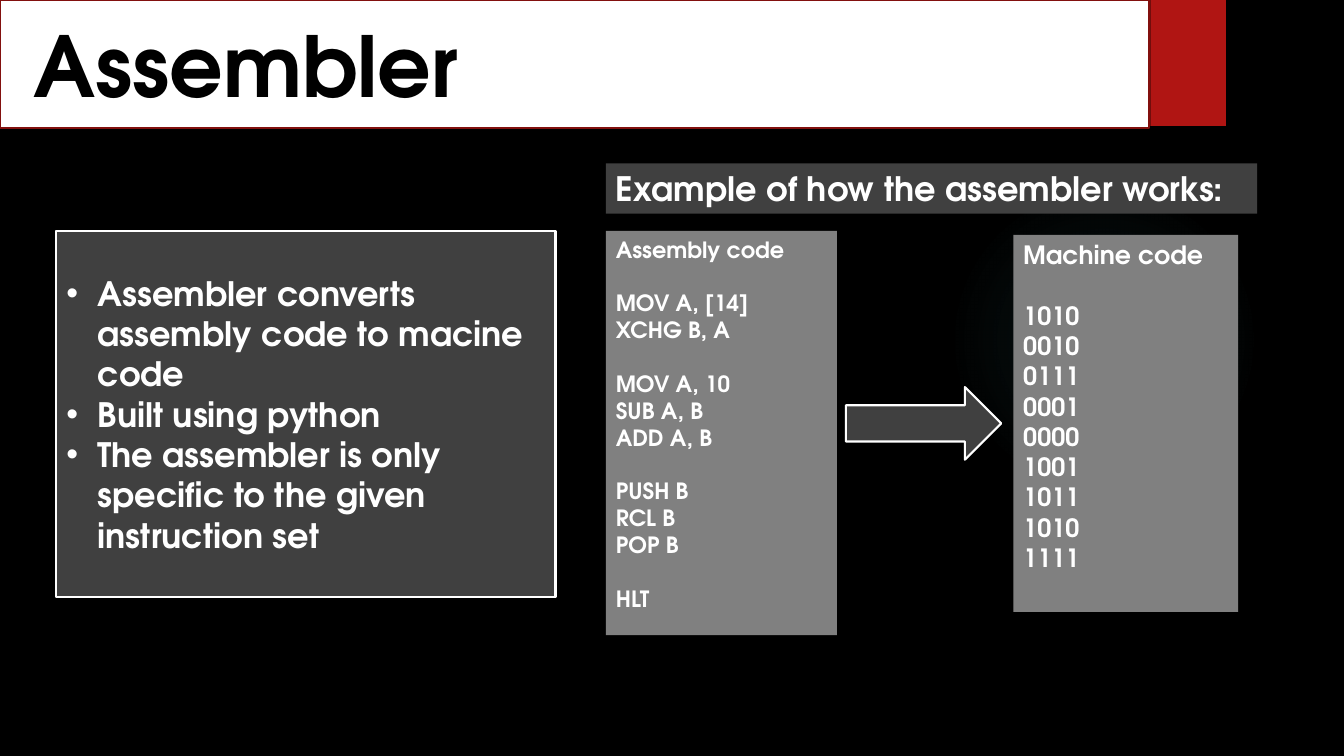
from dataclasses import dataclass

from lxml import etree
from pptx import Presentation
from pptx import util as u
from pptx.dml.color import RGBColor
from pptx.enum import shapes, text
from pptx.oxml import ns


@dataclass(frozen=True)
class Theme:
    """Colours, font and type sizes of the slide."""
    font: str = "TeX Gyre Adventor"
    black: str = "000000"
    white: str = "FFFFFF"
    red: str = "B01513"
    dark_red: str = "82100E"
    panel: str = "404040"
    code: str = "808080"
    glow: str = "50B9C1"
    title_size: int = 60
    body_size: int = 24
    assembly_size: int = 16
    machine_size: int = 18
    outline: float = 1.5
    line_height: float = 1.2


THEME = Theme()

TITLE = "Assembler"
POINTS = [
    "Assembler converts assembly code to macine code",
    "Built using python",
    "The assembler is only specific to the given instruction set",
]
EXAMPLE_HEADING = "Example of how the assembler works:"
# Each inner list is a group; groups are set one line apart.
ASSEMBLY = [
    ["Assembly code"],
    ["MOV A, [14]", "XCHG B, A"],
    ["MOV A, 10", "SUB A, B", "ADD A, B"],
    ["PUSH B", "RCL B", "POP B"],
    ["HLT"],
]
MACHINE = [
    ["Machine code"],
    ["1010", "0010", "0111", "0001", "0000", "1001", "1011", "1010", "1111"],
]
GLOW_STOPS = [(0, 7), (36, 6), (69, 0)]  # position and opacity, percent

EXAMPLE_LEFT = 6.01
PANEL_TOP = 2.29


def add_box(page, place, fill, line=None, kind=shapes.MSO_SHAPE.RECTANGLE):
    """Add a flat preset shape at (left, top, width, height) inches."""
    box = page.shapes.add_shape(kind, *map(u.Inches, place))
    box.shadow.inherit = False
    box.fill.solid()
    box.fill.fore_color.rgb = RGBColor.from_string(fill)
    if line:
        box.line.color.rgb = RGBColor.from_string(line)
        box.line.width = u.Pt(THEME.outline)
    else:
        box.line.fill.background()
    return box


def write(box, groups, size, color=THEME.white, anchor=text.MSO_ANCHOR.TOP):
    """Write groups of lines, leaving one line of space between groups."""
    frame = box.text_frame
    frame.word_wrap = True
    frame.vertical_anchor = anchor
    frame.text = "\n".join(line for group in groups for line in group)
    paras = iter(frame.paragraphs)
    for group_index, group in enumerate(groups):
        for line_index in range(len(group)):
            para = next(paras)
            para.alignment = text.PP_ALIGN.LEFT
            if group_index and not line_index:
                para.space_before = u.Pt(size * THEME.line_height)
            for span in para.runs:
                span.font.name = THEME.font
                span.font.size = u.Pt(size)
                span.font.bold = True
                span.font.color.rgb = RGBColor.from_string(color)


def add_bullets(box, indent=0.31):
    """Give every paragraph a round bullet with a hanging indent."""
    for para in box.text_frame.paragraphs:
        props = para._p.get_or_add_pPr()
        props.set("marL", str(u.Inches(indent)))
        props.set("indent", str(-u.Inches(indent)))
        etree.SubElement(props, ns.qn("a:buFont")).set("typeface", "Arial")
        etree.SubElement(props, ns.qn("a:buChar")).set("char", "•")


def add_glow(page, place):
    """Add a circle that fades out from its centre."""
    circle = add_box(page, place, THEME.glow, kind=shapes.MSO_SHAPE.OVAL)
    solid = circle._element.spPr.find(ns.qn("a:solidFill"))
    gradient = etree.Element(ns.qn("a:gradFill"))
    stops = etree.SubElement(gradient, ns.qn("a:gsLst"))
    for position, opacity in GLOW_STOPS:
        stop = etree.SubElement(stops, ns.qn("a:gs"), pos=str(position * 1000))
        color = etree.SubElement(stop, ns.qn("a:srgbClr"), val=THEME.glow)
        etree.SubElement(color, ns.qn("a:alpha"), val=str(opacity * 1000))
    shade = etree.SubElement(gradient, ns.qn("a:path"), {"path": "circle"})
    centre = dict.fromkeys("ltrb", "50000")
    etree.SubElement(shade, ns.qn("a:fillToRect"), centre)
    solid.getparent().replace(solid, gradient)


def build():
    """Build the slide and save the deck."""
    deck = Presentation()
    deck.slide_width, deck.slide_height = u.Inches(13.33), u.Inches(7.5)
    page = deck.slides.add_slide(deck.slide_layouts[6])
    page.background.fill.solid()
    page.background.fill.fore_color.rgb = RGBColor.from_string(THEME.black)
    middle = text.MSO_ANCHOR.MIDDLE

    add_glow(page, (9.41, 1.83, 3.08, 3.08))
    add_box(page, (11.41, 0, 0.75, 1.25), THEME.red)

    banner = add_box(page, (0, 0, 11.4, 1.27), THEME.white, THEME.dark_red)
    write(banner, [[TITLE]], THEME.title_size, THEME.black, middle)
    banner.text_frame.margin_left = u.Inches(0.33)

    summary = add_box(page, (0.56, PANEL_TOP, 4.95, 3.63), THEME.panel, THEME.white)
    write(summary, [POINTS], THEME.body_size, anchor=middle)
    add_bullets(summary)

    heading = add_box(page, (EXAMPLE_LEFT, 1.62, 6.46, 0.5), THEME.panel)
    write(heading, [[EXAMPLE_HEADING]], THEME.body_size)

    listings = [
        ((EXAMPLE_LEFT, PANEL_TOP, 2.29, 4.01), ASSEMBLY, THEME.assembly_size),
        ((10.05, 2.33, 2.23, 3.74), MACHINE, THEME.machine_size),
    ]
    for place, groups, size in listings:
        write(add_box(page, place, THEME.code), groups, size)

    add_box(page, (8.39, 3.84, 1.54, 0.72), THEME.panel, THEME.white,
            shapes.MSO_SHAPE.RIGHT_ARROW)
    deck.save("out.pptx")


build()
